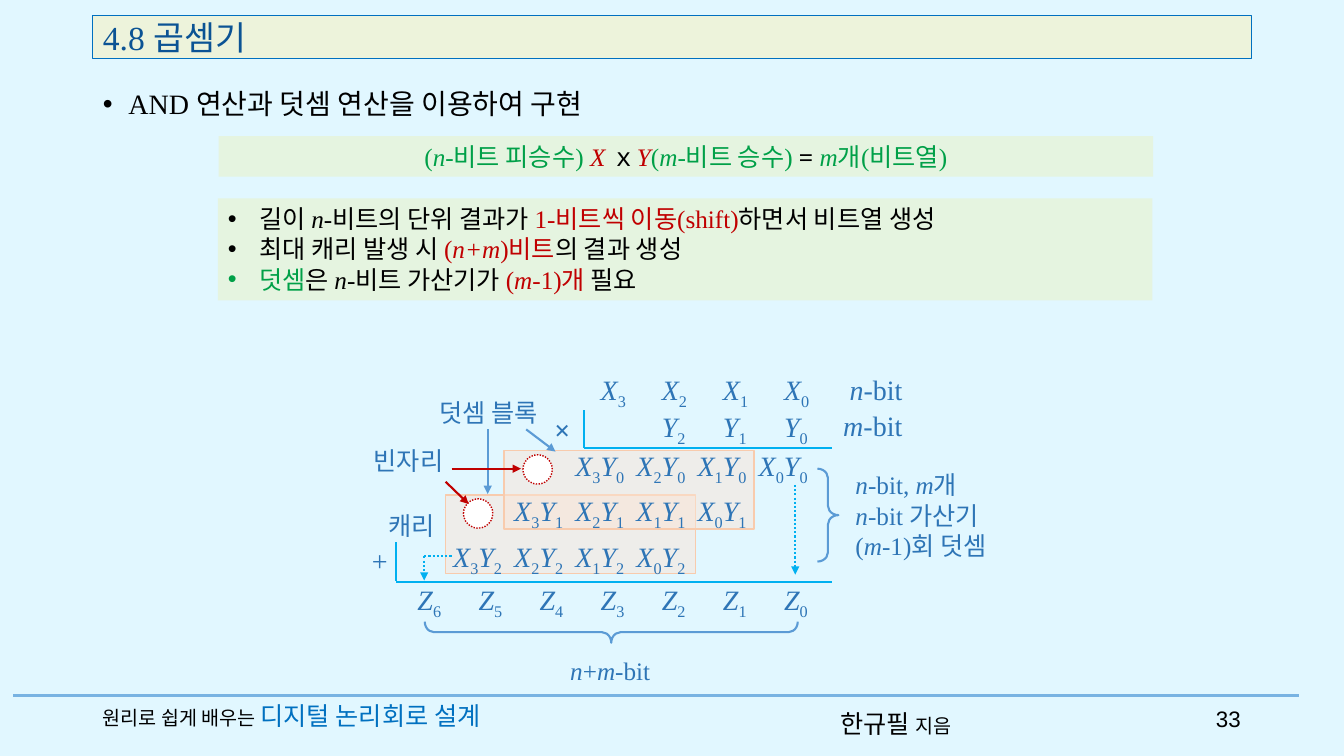
from lxml.etree import SubElement
from pptx import Presentation
from pptx.dml.color import RGBColor
from pptx.enum.dml import MSO_LINE
from pptx.enum.shapes import MSO_CONNECTOR, MSO_SHAPE
from pptx.enum.text import MSO_ANCHOR, MSO_AUTO_SIZE, PP_ALIGN
from pptx.oxml.ns import qn
from pptx.util import Cm, Pt

SKY = RGBColor(0xE1, 0xF7, 0xFF)
RULE = RGBColor(0x78, 0xB3, 0xE2)
BLACK = RGBColor(0, 0, 0)
WHITE = RGBColor(0xFF, 0xFF, 0xFF)
CREAM = RGBColor(0xED, 0xF3, 0xDB)
NAVY = RGBColor(0x0B, 0x53, 0x94)
BLUE = RGBColor(0x00, 0x70, 0xC0)
MINT = RGBColor(0xE5, 0xF4, 0xE0)
GREEN = RGBColor(0x00, 0xA0, 0x48)
RED = RGBColor(0xC0, 0, 0)
PEACH = RGBColor(0xFB, 0xE5, 0xD6)
CORAL = RGBColor(0xF8, 0xCB, 0xAD)
STEEL = RGBColor(0x2E, 0x75, 0xB6)
SOFT = RGBColor(0x5B, 0x9B, 0xD5)
CYAN = RGBColor(0x00, 0xB0, 0xF0)


class Deck:
    serif = "Times New Roman"
    hangul = "Noto Sans CJK KR"

    def __init__(self):
        self.prs = Presentation()
        self.prs.slide_width, self.prs.slide_height = Cm(33.87), Cm(19.05)
        self.slide = self.prs.slides.add_slide(self.prs.slide_layouts[3])
        back = self.slide.background.fill
        back.solid()
        back.fore_color.rgb = SKY

    def runs(self, par, runs, size, tint, face=None):
        for text, *rest in runs:
            flags, hue, points = (rest + [None] * 3)[:3]
            flags = flags or ""
            run = par.add_run()
            run.text = text
            font = run.font
            font.size = Pt(points or size)
            font.name = face or self.serif
            font.color.rgb = hue or tint
            font.italic = "i" in flags
            font.bold = "b" in flags
            props = run._r.get_or_add_rPr()
            if "s" in flags:
                props.set("baseline", "-25000")
            SubElement(props, qn("a:ea")).set("typeface", self.hangul)

    def fill(self, shape, paint, edge=None, width=1, alpha=None):
        if paint is None:
            shape.fill.background()
        else:
            shape.fill.solid()
            shape.fill.fore_color.rgb = paint
        if alpha:
            node = shape.element.spPr.find(qn("a:solidFill"))[0]
            SubElement(node, qn("a:alpha")).set("val", str(alpha * 1000))
        if edge is None:
            shape.line.fill.background()
        else:
            shape.line.color.rgb = edge
            shape.line.width = Pt(width)

    def holder(self, index, box):
        shape = self.slide.placeholders[index]
        shape.left, shape.top, shape.width, shape.height = map(Cm, box)
        frame = shape.text_frame
        frame.auto_size = MSO_AUTO_SIZE.NONE
        frame.word_wrap = True
        return shape

    def title(self, box, runs):
        shape = self.holder(0, box)
        self.fill(shape, CREAM, BLUE, 0.75)
        shape.text_frame.vertical_anchor = MSO_ANCHOR.MIDDLE
        par = shape.text_frame.paragraphs[0]
        par.alignment = PP_ALIGN.LEFT
        self.runs(par, runs, 24, NAVY)

    def bullets(self, index, box, rows, size, indent, before=0, pitch=1.0):
        shape = self.holder(index, box)
        frame = shape.text_frame
        frame.vertical_anchor = MSO_ANCHOR.TOP
        for place, runs in enumerate(rows):
            par = frame.add_paragraph() if place else frame.paragraphs[0]
            par.alignment = PP_ALIGN.LEFT
            par.space_before, par.line_spacing = Pt(before), pitch
            props = par._p.get_or_add_pPr()
            props.set("marL", str(int(Cm(indent))))
            props.set("indent", str(-int(Cm(indent))))
            SubElement(props, qn("a:buFont")).set("typeface", "Arial")
            SubElement(props, qn("a:buChar")).set("char", "•")
            self.runs(par, runs, size, BLACK)
        return shape

    def text(self, box, rows, size=18, tint=STEEL, wrap=False, align=None, face=None):
        shape = self.slide.shapes.add_textbox(*map(Cm, box))
        frame = shape.text_frame
        frame.word_wrap = wrap
        frame.auto_size = MSO_AUTO_SIZE.NONE if wrap else MSO_AUTO_SIZE.SHAPE_TO_FIT_TEXT
        for place, runs in enumerate(rows):
            par = frame.add_paragraph() if place else frame.paragraphs[0]
            par.alignment = align
            self.runs(par, runs, size, tint, face)

    def term(self, left, top, width, symbol):
        runs = [(c, "s" if c.isdigit() else "i") for c in symbol]
        self.text((left, top, width, 1.12), [runs], 20)

    def shape(self, kind, box, paint=None, edge=None, width=1, alpha=None):
        shape = self.slide.shapes.add_shape(kind, *map(Cm, box))
        shape.shadow.inherit = False
        self.fill(shape, paint, edge, width, alpha)
        return shape

    def brace(self, box, turn):
        shape = self.shape(MSO_SHAPE.LEFT_BRACE, box, None, SOFT, 1.5)
        shape.adjustments[0], shape.adjustments[1] = 0.44, 0.5
        shape.rotation = turn

    def line(self, ends, tint, width=1.5, dots=False, arrow=False):
        link = self.slide.shapes.add_connector(MSO_CONNECTOR.STRAIGHT, *map(Cm, ends))
        link.line.color.rgb = tint
        link.line.width = Pt(width)
        if dots:
            link.line.dash_style = MSO_LINE.ROUND_DOT
        props = link._element.spPr
        if arrow:
            SubElement(props.find(qn("a:ln")), qn("a:tailEnd")).set("type", "triangle")
        SubElement(props, qn("a:effectLst"))


def main():
    deck = Deck()
    deck.line((0.33, 17.53, 32.74, 17.53), RULE, 2.5)
    deck.text((20.93, 17.73, 3.89, 1.02), [[("한규필 ",), ("지음", "", BLACK, 14)]],
              tint=BLACK, wrap=True, face=deck.hangul)
    deck.text((2.34, 17.53, 11.76, 1.02),
              [[("원리로 쉽게 배우는 ", "", BLACK, 14), ("디지털 논리회로 설계",)]],
              tint=BLUE, wrap=True)
    deck.text((29.95, 17.65, 1.57, 1.02), [[("33",)]], 16, BLACK, True, PP_ALIGN.RIGHT, "Arial")

    deck.title((2.34, 0.38, 29.21, 1.09), [("4.8 곱셈기",)])
    deck.bullets(1, (2.34, 2.16, 29.67, 1.09),
                 [[("AND 연산과 덧셈 연산을 이용하여 구현",)]], 20, 0.64, 10, 0.9)
    banner = deck.shape(MSO_SHAPE.RECTANGLE, (5.51, 3.43, 23.55, 1.02), MINT)
    par = banner.text_frame.paragraphs[0]
    par.alignment = PP_ALIGN.CENTER
    deck.runs(par, [("(",), ("n", "i"), ("-비트 피승수) ",), ("X ", "i", RED),
                    ("ｘ", "", BLACK), ("Y", "i", RED), ("(",), ("m", "i"),
                    ("-비트 승수) ",), ("= ", "b", BLACK), ("m", "i"),
                    ("개(비트열)",)], 18, GREEN)
    facts = deck.bullets(2, (5.49, 5, 23.55, 2.57), [
        [("길이 ",), ("n", "i"), ("-비트의 단위 결과가 ",),
         ("1-비트씩 이동(shift)", "", RED), ("하면서 비트열 생성",)],
        [("최대 캐리 발생 시 ",), ("(", "", RED), ("n+m", "i", RED),
         (")비트", "", RED), ("의 결과 생성",)],
        [("덧셈", "", GREEN), ("은 ",), ("n", "i"), ("-비트 가산기가 ",),
         ("(", "", RED), ("m", "i", RED), ("-1)개 ", "", RED), ("필요",)],
    ], 18, 0.79)
    deck.fill(facts, MINT)

    for left, top in ((11.23, 12.47), (12.7, 11.35)):
        deck.shape(MSO_SHAPE.RECTANGLE, (left, top, 6.3, 1.98), PEACH, CORAL, 1, 50)

    step = 1.54
    for letter, count, top in (("X", 4, 9.25), ("Y", 3, 10.19), ("Z", 7, 14.55)):
        for i in range(count):
            deck.term(19.51 - step * i, top, 1.19, f"{letter}{i}")
    for j in range(3):
        for i in range(4):
            deck.term(18.87 - step * (i + j), 11.18 + 1.14 * j, 1.83, f"X{i}Y{j}")

    deck.text((13.72, 10.26, 0.91, 1.12), [[("×", "b")]], 20)
    deck.text((9.12, 13.56, 0.91, 1.12), [[("+",)]], 20)
    deck.text((21.16, 9.25, 1.85, 1.12), [[("n-", "i"), ("bit",)]], 20)
    deck.text((21, 10.16, 2.01, 1.12), [[("m-", "i"), ("bit",)]], 20)
    deck.text((21.31, 11.71, 4.14, 2.57), [
        [("n", "i"), ("-bit,",), (" m", "i"), ("개",)],
        [("n", "i"), ("-bit 가산기",)],
        [("(",), ("m", "i"), ("-1)회 덧셈",)]])
    deck.text((14.12, 16.38, 2.54, 1.02), [[("n", "i"), ("+",), ("m", "i"), ("-bit",)]])
    for left, top, width, label in ((9.53, 12.73, 1.8, "캐리"),
                                    (10.82, 9.88, 3.23, "덧셈 블록"),
                                    (9.17, 11.1, 2.44, "빈자리")):
        deck.text((left, top, width, 1.02), [[(label,)]])

    deck.brace((20.6, 11.81, 0.53, 2.34), 180)
    deck.brace((15.14, 11.23, 0.53, 9.4), 270)

    for ends in ((14.71, 10.34, 14.71, 11.3), (14.71, 11.3, 20.96, 11.3),
                 (9.98, 14.66, 20.96, 14.66), (9.98, 13.67, 9.98, 14.63)):
        deck.line(ends, CYAN)
    deck.line((10.69, 14.02, 11.4, 14.02), CYAN, dots=True)
    for ends in ((20.04, 12.22, 20.04, 14.48), (10.69, 14.02, 10.69, 14.63)):
        deck.line(ends, CYAN, dots=True, arrow=True)
    for left, top in ((13.18, 11.46), (11.68, 12.57)):
        gap = deck.shape(MSO_SHAPE.OVAL, (left, top, 0.74, 0.74), WHITE, RED)
        gap.line.dash_style = MSO_LINE.ROUND_DOT
    for ends, tint in (((13.26, 10.82, 14, 11.38), SOFT), ((12.29, 10.82, 12.29, 12.45), SOFT),
                       ((11.23, 12.14, 11.81, 12.7), RED), ((11.38, 11.81, 13.13, 11.81), RED)):
        deck.line(ends, tint, arrow=True)

    deck.prs.save("out.pptx")


if __name__ == "__main__":
    main()
